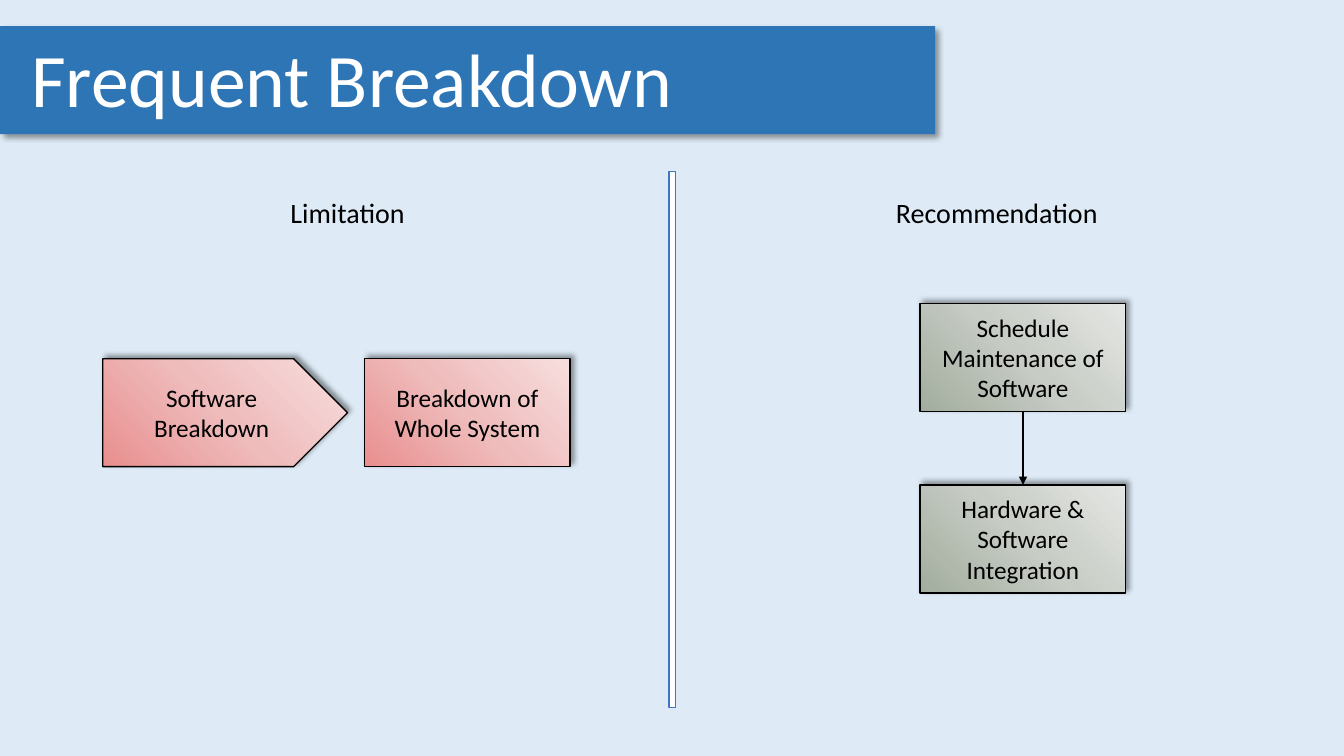
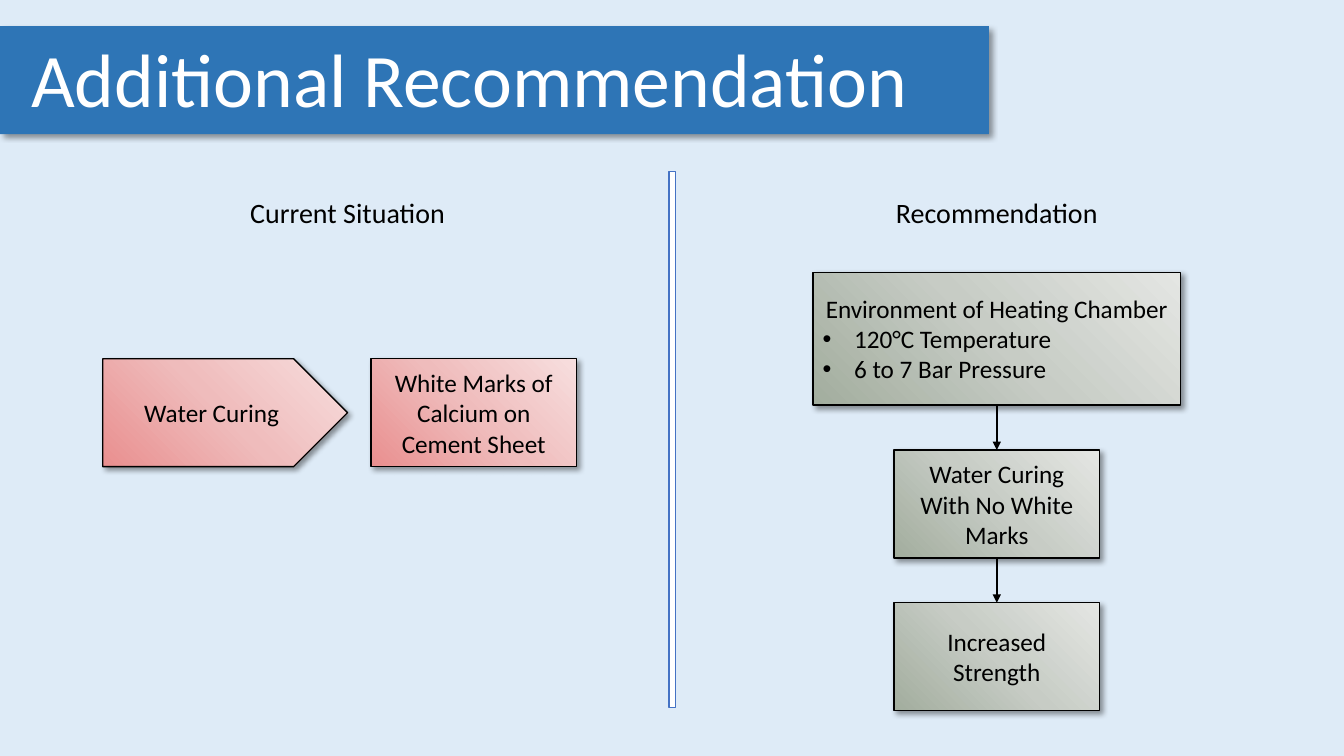
from copy import deepcopy
from lxml.etree import SubElement
from pptx import Presentation
from pptx.dml.color import RGBColor
from pptx.enum.shapes import MSO_CONNECTOR, MSO_SHAPE
from pptx.enum.text import MSO_ANCHOR, MSO_AUTO_SIZE, PP_ALIGN
from pptx.oxml.ns import qn
from pptx.util import Cm, Pt

COLORS = {
    "background": "DEEBF7",
    "band": "2E75B6",
    "divider": "4472C4",
    "white": "FFFFFF",
    "black": "000000",
}
PROBLEM_GRADIENT = ("E98F8F", "EFBCBC", "F7DEDE")
REMEDY_GRADIENT = ("A2AD9E", "C7CCC5", "E4E6E3")
FONT = "Calibri"
BAND_TOP, BAND_HEIGHT = 0.66, 2.72
CONTENT_TOP = 4.32
HEADING_WIDTH, HEADING_HEIGHT = 5.74, 2.06
HEADING_CENTERS = (8.76, 25.12)
BOX_WIDTH, BOX_HEIGHT = 5.18, 2.72
CAUSE_LEFT, CAUSE_TOP, CAUSE_WIDTH = 2.59, 9.04, 6.17

SLIDES = [
    {
        "title": "Frequent Breakdown",
        "band_width": 23.57,
        "headings": ("Limitation", "Recommendation"),
        "cause": "Software Breakdown",
        "effect": "Breakdown of Whole System",
        "effect_left": 9.19,
        "shadow_angle": 315,
        "steps_center": 25.78,
        "steps_top": 7.65,
        "steps_gap": 1.85,
        "steps": [
            (["Schedule Maintenance of Software"], BOX_WIDTH, BOX_HEIGHT),
            (["Hardware & Software Integration"], BOX_WIDTH, BOX_HEIGHT),
        ],
    },
    {
        "title": "Additional Recommendation",
        "band_width": 24.92,
        "headings": ("Current Situation", "Recommendation"),
        "cause": "Water Curing",
        "effect": "White Marks of Calcium on Cement Sheet",
        "effect_left": 9.35,
        "shadow_angle": 45,
        "steps_center": 25.12,
        "steps_top": 6.86,
        "steps_gap": 1.13,
        "steps": [
            (
                ["Environment of Heating Chamber", "120°C Temperature", "6 to 7 Bar Pressure"],
                9.27,
                3.35,
            ),
            (["Water Curing With No White Marks"], BOX_WIDTH, BOX_HEIGHT),
            (["Increased Strength"], BOX_WIDTH, BOX_HEIGHT),
        ],
    },
]


def write(shape, lines, size, color, alignment):
    frame = shape.text_frame
    frame.text = "\n".join(lines)
    frame.word_wrap = True
    frame.auto_size = MSO_AUTO_SIZE.NONE
    frame.vertical_anchor = MSO_ANCHOR.MIDDLE
    for index, paragraph in enumerate(frame.paragraphs):
        paragraph.alignment = PP_ALIGN.LEFT if index else alignment
        paragraph.space_before = Pt(0)
        if index:
            properties = paragraph._p.get_or_add_pPr()
            properties.set("marL", str(Cm(0.79)))
            properties.set("indent", str(-Cm(0.79)))
            SubElement(properties, qn("a:buFont"), typeface="Arial")
            SubElement(properties, qn("a:buChar"), char="•")
        for run in paragraph.runs:
            run.font.name = FONT
            run.font.size = Pt(size)
            run.font.bold = False
            run.font.color.rgb = RGBColor.from_string(COLORS[color])


def add_block(slide, preset, box, fill, line=None, shadow_angle=None):
    block = slide.shapes.add_shape(preset, *[Cm(length) for length in box])
    if isinstance(fill, tuple):
        block.fill.gradient()
        block.fill.gradient_angle = 45
        stops = block._element.spPr.find(".//" + qn("a:gsLst"))
        stops.insert(1, deepcopy(stops[0]))
        for stop, position, color in zip(block.fill.gradient_stops, (0, 0.5, 1), fill):
            stop.position = position
            stop.color.rgb = RGBColor.from_string(color)
    else:
        block.fill.solid()
        block.fill.fore_color.rgb = RGBColor.from_string(COLORS[fill])
    if line:
        block.line.color.rgb = RGBColor.from_string(COLORS[line])
        block.line.width = Pt(1)
    else:
        block.line.fill.background()
    block.shadow.inherit = False
    if shadow_angle is not None:
        effects = block._element.spPr.find(qn("a:effectLst"))
        shadow = SubElement(
            effects, qn("a:outerShdw"), blurRad=str(Pt(4)), dist=str(Pt(3)),
            dir=str(shadow_angle * 60000), algn="ctr", rotWithShape="0",
        )
        shade = SubElement(shadow, qn("a:srgbClr"), val=COLORS["black"])
        SubElement(shade, qn("a:alpha"), val="40000")
    return block


prs = Presentation()
prs.slide_width, prs.slide_height = Cm(33.87), Cm(19.05)
backdrop = prs.slide_master.background.fill
backdrop.solid()
backdrop.fore_color.rgb = RGBColor.from_string(COLORS["background"])
comparison_layout = prs.slide_layouts[4]

for content in SLIDES:
    slide = prs.slides.add_slide(comparison_layout)
    title, left_heading, left_body, right_heading, right_body = list(slide.placeholders)[:5]
    for unused in (left_body, right_body):
        unused._element.getparent().remove(unused._element)

    band = add_block(
        slide, MSO_SHAPE.RECTANGLE, (0, BAND_TOP, content["band_width"], BAND_HEIGHT),
        "band", shadow_angle=45,
    )
    title._element.addprevious(band._element)
    title.left, title.top = Cm(0.53), Cm(BAND_TOP)
    title.width, title.height = Cm(23.57), Cm(2.57)
    write(title, [content["title"]], 54, "white", PP_ALIGN.LEFT)

    headings = zip((left_heading, right_heading), content["headings"], HEADING_CENTERS)
    for heading, words, center in headings:
        heading.left, heading.top = Cm(center - HEADING_WIDTH / 2), Cm(CONTENT_TOP)
        heading.width, heading.height = Cm(HEADING_WIDTH), Cm(HEADING_HEIGHT)
        write(heading, [words], 20, "black", PP_ALIGN.CENTER)

    add_block(
        slide, MSO_SHAPE.RECTANGLE, (16.86, CONTENT_TOP, 0.16, 13.51), "white", "divider"
    )

    angle = content["shadow_angle"]
    effect = add_block(
        slide, MSO_SHAPE.RECTANGLE,
        (content["effect_left"], CAUSE_TOP, BOX_WIDTH, BOX_HEIGHT),
        PROBLEM_GRADIENT, "black", angle,
    )
    write(effect, [content["effect"]], 18, "black", PP_ALIGN.CENTER)
    cause = add_block(
        slide, MSO_SHAPE.PENTAGON, (CAUSE_LEFT, CAUSE_TOP, CAUSE_WIDTH, BOX_HEIGHT),
        PROBLEM_GRADIENT, "black", angle,
    )
    write(cause, [content["cause"]], 18, "black", PP_ALIGN.CENTER)

    top = content["steps_top"]
    previous = None
    for lines, width, height in content["steps"]:
        step = add_block(
            slide, MSO_SHAPE.RECTANGLE,
            (content["steps_center"] - width / 2, top, width, height),
            REMEDY_GRADIENT, "black", angle,
        )
        write(step, lines, 18, "black", PP_ALIGN.CENTER)
        if previous is not None:
            arrow = slide.shapes.add_connector(MSO_CONNECTOR.STRAIGHT, 0, 0, 0, 0)
            arrow.begin_connect(previous, 2)
            arrow.end_connect(step, 0)
            arrow.line.color.rgb = RGBColor.from_string(COLORS["black"])
            arrow.line.width = Pt(1.5)
            SubElement(arrow.line._get_or_add_ln(), qn("a:tailEnd"), type="triangle")
            SubElement(arrow._element.spPr, qn("a:effectLst"))
        previous = step
        top += height + content["steps_gap"]

prs.save("out.pptx")
